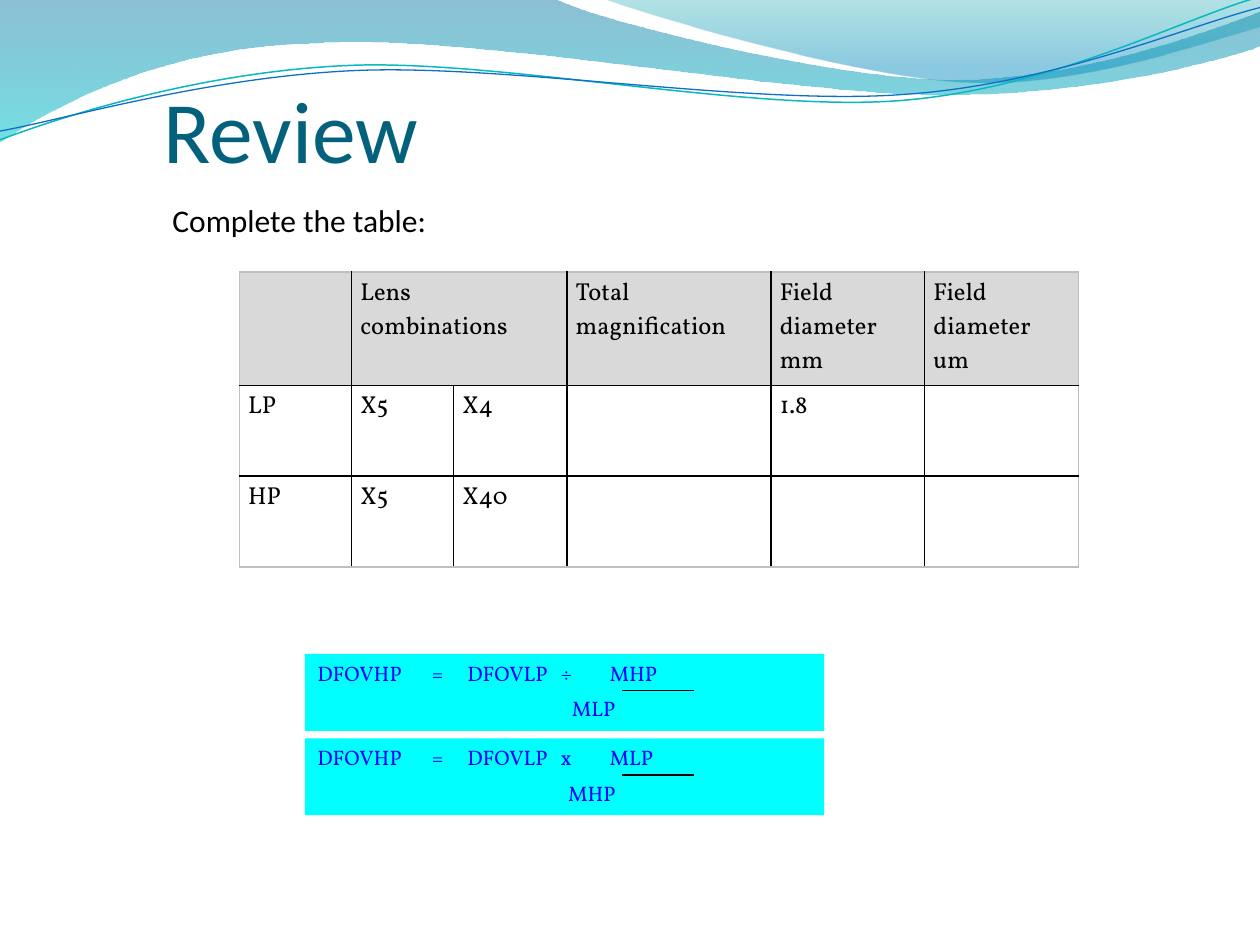
from lxml import etree
from pptx import Presentation
from pptx.dml.color import RGBColor
from pptx.enum import shapes as kinds, text as styles
from pptx.oxml import ns
from pptx.util import Inches, Pt

BLACK = RGBColor(0, 0, 0)
GREY = RGBColor(0xBF, 0xBF, 0xBF)
HEADER_GREY = RGBColor(0xD9, 0xD9, 0xD9)
CYAN = RGBColor(0, 0xFF, 0xFF)
BLUE = RGBColor(0, 0, 0xFF)
TITLE_TEAL = RGBColor(0x04, 0x61, 0x7B)

TITLE = "Review"
TASK = "Complete the table:"
ROWS = [
    ["", "Lens combinations", "", "Total magnification", "Field diameter mm", "Field diameter um"],
    ["LP", "X5", "X4", "", "1.8", ""],
    ["HP", "X5", "X40", "", "", ""],
]
COLUMN_WIDTHS = [0.89, 0.81, 0.9, 1.62, 1.22, 1.22]
ROW_HEIGHTS = [0.9, 0.72, 0.72]
# top, numerator line, denominator line, denominator indent
FORMULAS = [
    (5.86, "DFOVHP\t=\tDFOVLP\tx\tMLP", "\tMHP", 1.99),
    (5.19, "DFOVHP\t=\tDFOVLP\t÷\tMHP", "\tMLP", 2.02),
]
FORMULA_TABS = [0.91, 1.19, 1.93, 2.32]

# Outlines: a point, then straight (x, y) or cubic (x1, y1, x2, y2, x, y) segments
# Gradient stops: colour, position, opacity in percent
BANDS = [
    ([(0, 0), (4.4, -0.01), (4.76, 0.17, 6.64, 0.63, 7.58, 0.63),
      (8.53, 0.63, 9.58, 0.26, 10, 0.09), (10.01, 0.36),
      (9.83, 0.44, 8.7, 0.76, 7.46, 0.75), (6.22, 0.75, 3.82, 0.28, 2.57, 0.34),
      (1.29, 0.36, 0.46, 0.83, -0.01, 1.13), (0, 0)],
     [(RGBColor(0, 0x74, 0xA1), 0, 45), (RGBColor(0, 0xC6, 0xCF), 1, 55)]),
    ([(4.79, -0.01), (5.09, 0.11, 6.82, 0.62, 7.69, 0.65),
      (8.56, 0.69, 9.61, 0.32, 10, 0.21), (10, 0), (4.79, -0.01)],
     [(RGBColor(0, 0xA1, 0xA9), 0, 30), (RGBColor(0, 0x8B, 0xBF), 0.8, 45)]),
]
WAVES = [
    ([(0, 1.11), (0.48, 0.93, 1.58, 0.57, 2.77, 0.52),
      (3.95, 0.47, 5.93, 0.89, 7.13, 0.8), (8.33, 0.71, 9.38, 0.15, 9.98, -0.02)],
     RGBColor(0x0A, 0xB8, 0xBF), 0.85),
    ([(0, 1.04), (0.47, 0.96, 1.64, 0.61, 2.83, 0.56),
      (4.03, 0.51, 5.97, 0.84, 7.17, 0.75), (8.36, 0.67, 9.41, 0.21, 10, 0.06)],
     RGBColor(0x0F, 0x6F, 0xC6), 0.75),
]

TITLE_FONT = {"name": "Calibri", "size": Pt(50)}
TASK_FONT = {"name": "Calibri", "size": Pt(18)}
TABLE_FONT = {"name": "Vollkorn", "size": Pt(14)}
FORMULA_FONT = {"name": "Vollkorn", "size": Pt(12)}


def set_all(target, values):
    for key, value in values.items():
        setattr(target, key, value)


def write(paragraph, words, font, color):
    run = paragraph.add_run()
    run.text = words
    set_all(run.font, font)
    run.font.color.rgb = color


def add_xml(parent, tag, **attributes):
    return etree.SubElement(parent, ns.qn(tag), attributes)


def add_outline(slide, outline, close):
    """Draw through the end points, then bend the cubic segments."""
    ends = [(Inches(segment[-2]), Inches(segment[-1])) for segment in outline]
    builder = slide.shapes.build_freeform(*ends[0])
    builder.add_line_segments(ends[1:], close=close)
    shape = builder.convert_to_shape()
    shape.shadow.inherit = False
    lines = list(shape._element.spPr.iter(ns.qn("a:lnTo")))
    for line, segment in zip(lines, outline[1:]):
        if len(segment) == 6:
            curve = etree.Element(ns.qn("a:cubicBezTo"))
            for x, y in zip(segment[::2], segment[1::2]):
                add_xml(curve, "a:pt", x=str(Inches(x) - shape.left),
                        y=str(Inches(y) - shape.top))
            line.getparent().replace(line, curve)
    return shape


def add_header_art(slide):
    for outline, stops in BANDS:
        band = add_outline(slide, outline, True)
        band.line.fill.background()
        band.fill.gradient()
        band.fill.gradient_angle = 270
        for stop, (color, position, _) in zip(band.fill.gradient_stops, stops):
            stop.color.rgb = color
            stop.position = position
        colors = band._element.spPr.iter(ns.qn("a:srgbClr"))
        for color, (_, _, opacity) in zip(list(colors), stops):
            add_xml(color, "a:alpha", val=str(opacity * 1000))
    for outline, color, width in WAVES:
        wave = add_outline(slide, outline, False)
        wave.fill.background()
        wave.line.color.rgb = color
        wave.line.width = Pt(width)


def set_border(cell, side, color):
    properties = cell._tc.get_or_add_tcPr()
    line = add_xml(properties, f"a:ln{side}", w=str(Pt(1)))
    add_xml(add_xml(line, "a:solidFill"), "a:srgbClr", val=str(color))


def add_lens_table(slide):
    last_row, last_column = len(ROWS) - 1, len(COLUMN_WIDTHS) - 1
    table = slide.shapes.add_table(
        len(ROWS), len(COLUMN_WIDTHS), Inches(1.9), Inches(2.16),
        Inches(sum(COLUMN_WIDTHS)), Inches(sum(ROW_HEIGHTS))).table
    set_all(table, {"first_row": False, "horz_banding": False})
    for column, width in zip(table.columns, COLUMN_WIDTHS):
        column.width = Inches(width)
    for row, height in zip(table.rows, ROW_HEIGHTS):
        row.height = Inches(height)
    table.cell(0, 1).merge(table.cell(0, 2))
    for r, words_in_row in enumerate(ROWS):
        for c, words in enumerate(words_in_row):
            cell = table.cell(r, c)
            set_all(cell, {"margin_left": Inches(0.07), "margin_right": Inches(0.07),
                           "margin_top": Inches(0.04), "margin_bottom": Inches(0.04)})
            if words:
                write(cell.text_frame.paragraphs[0], words, TABLE_FONT, BLACK)
            outer = {"L": c == 0, "R": c == last_column, "T": r == 0, "B": r == last_row}
            for side, is_outer in outer.items():
                set_border(cell, side, GREY if is_outer else BLACK)
            if r == 0:
                cell.fill.solid()
                cell.fill.fore_color.rgb = HEADER_GREY
            else:
                cell.fill.background()


def add_formula(slide, top, numerator, denominator, indent):
    box = slide.shapes.add_shape(kinds.MSO_SHAPE.RECTANGLE, Inches(2.42), Inches(top),
                                 Inches(4.12), Inches(0.61))
    box.shadow.inherit = False
    box.fill.solid()
    box.fill.fore_color.rgb = CYAN
    box.line.fill.background()
    frame = box.text_frame
    set_all(frame, {"word_wrap": True, "vertical_anchor": styles.MSO_ANCHOR.TOP})
    lines = [(frame.paragraphs[0], numerator, FORMULA_TABS),
             (frame.add_paragraph(), denominator, [indent])]
    for paragraph, words, tabs in lines:
        tab_list = add_xml(paragraph._p.get_or_add_pPr(), "a:tabLst")
        for tab in tabs:
            add_xml(tab_list, "a:tab", pos=str(Inches(tab)), algn="l")
        paragraph.alignment = styles.PP_ALIGN.LEFT
        write(paragraph, words, FORMULA_FONT, BLUE)
    frame.paragraphs[1].space_before = Pt(6)

    bar_y = Inches(top + 0.29)
    bar = slide.shapes.add_connector(kinds.MSO_CONNECTOR.STRAIGHT,
                                     Inches(4.94), bar_y, Inches(5.51), bar_y)
    bar.line.color.rgb = BLACK
    bar.line.width = Pt(0.75)
    add_xml(bar._element.spPr, "a:effectLst")


def main():
    deck = Presentation()
    set_all(deck, {"slide_width": Inches(10), "slide_height": Inches(7.5)})
    slide = deck.slides.add_slide(deck.slide_layouts[5])
    add_header_art(slide)

    title = slide.shapes.title
    set_all(title, {"left": Inches(1.3), "top": Inches(0.36),
                    "width": Inches(7.05), "height": Inches(1.08)})
    set_all(title.text_frame, {"margin_left": 0, "margin_right": 0, "margin_bottom": 0,
                               "margin_top": Inches(0.05), "word_wrap": True,
                               "auto_size": styles.MSO_AUTO_SIZE.NONE,
                               "vertical_anchor": styles.MSO_ANCHOR.BOTTOM})
    heading = title.text_frame.paragraphs[0]
    heading.alignment = styles.PP_ALIGN.LEFT
    write(heading, TITLE, TITLE_FONT, TITLE_TEAL)

    task = slide.shapes.add_textbox(Inches(1.27), Inches(1.55), Inches(6.22), Inches(0.4))
    task.text_frame.word_wrap = True
    write(task.text_frame.paragraphs[0], TASK, TASK_FONT, BLACK)

    add_lens_table(slide)
    for formula in FORMULAS:
        add_formula(slide, *formula)
    deck.save("out.pptx")


if __name__ == "__main__":
    main()
